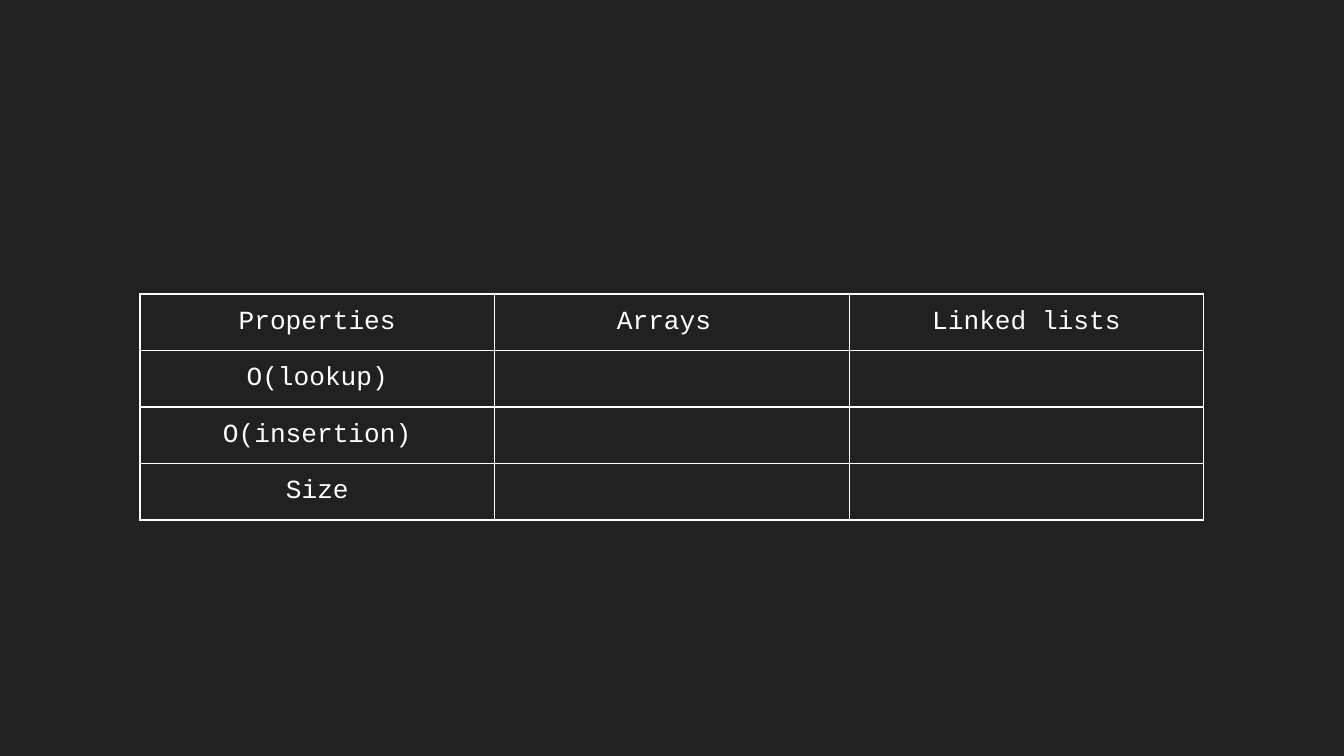
from lxml import etree
from pptx import Presentation
from pptx.dml.color import RGBColor
from pptx.enum.text import PP_ALIGN
from pptx.oxml.ns import qn
from pptx.util import Pt

CENTER = PP_ALIGN.CENTER
BLANK_LAYOUT = 6
BORDER_SIDES = ("lnL", "lnR", "lnT", "lnB")
ROWS = [
    ["Properties", "Arrays ", "Linked lists"],
    ["O(lookup)", "", ""],
    ["O(insertion)", "", ""],
    ["Size", "", ""],
]


def color(value):
    return RGBColor.from_string(value)


class SlideBuilder:
    background = "212121"
    ink = "FFFFFF"
    font = {"name": "Courier New", "size": Pt(14)}
    margins = dict.fromkeys(
        ("margin_left", "margin_right", "margin_top", "margin_bottom"), Pt(7.2)
    )
    border_width = Pt(0.75)

    def __init__(self, deck):
        self.page = deck.slides.add_slide(deck.slide_layouts[BLANK_LAYOUT])
        fill = self.page.background.fill
        fill.solid()
        fill.fore_color.rgb = color(self.background)

    def table(self, rows, left, top, column_width, row_height):
        row_count, column_count = len(rows), len(rows[0])
        table = self.page.shapes.add_table(
            row_count, column_count, Pt(left), Pt(top),
            Pt(column_width * column_count), Pt(row_height * row_count),
        ).table
        table.first_row = False
        table.horz_banding = False
        for row_index, row in enumerate(rows):
            for column_index, text in enumerate(row):
                cell = table.cell(row_index, column_index)
                self.borders(cell)
                cell.fill.background()
                if text:
                    self.cell_text(cell, text)

    def cell_text(self, cell, text):
        for name, value in self.margins.items():
            setattr(cell, name, value)
        para = cell.text_frame.paragraphs[0]
        para.alignment = CENTER
        span = para.add_run()
        span.text = text
        for name, value in self.font.items():
            setattr(span.font, name, value)
        span.font.color.rgb = color(self.ink)

    def borders(self, cell):
        properties = cell._tc.get_or_add_tcPr()
        for side in BORDER_SIDES:
            line = etree.SubElement(
                properties, qn("a:" + side), w=str(int(self.border_width))
            )
            fill = etree.SubElement(line, qn("a:solidFill"))
            etree.SubElement(fill, qn("a:srgbClr"), val=self.ink)


def main():
    deck = Presentation()
    deck.slide_width, deck.slide_height = Pt(720), Pt(405)
    builder = SlideBuilder(deck)
    builder.table(ROWS, left=75, top=157.5, column_width=190, row_height=30.2)
    deck.save("out.pptx")


if __name__ == "__main__":
    main()
